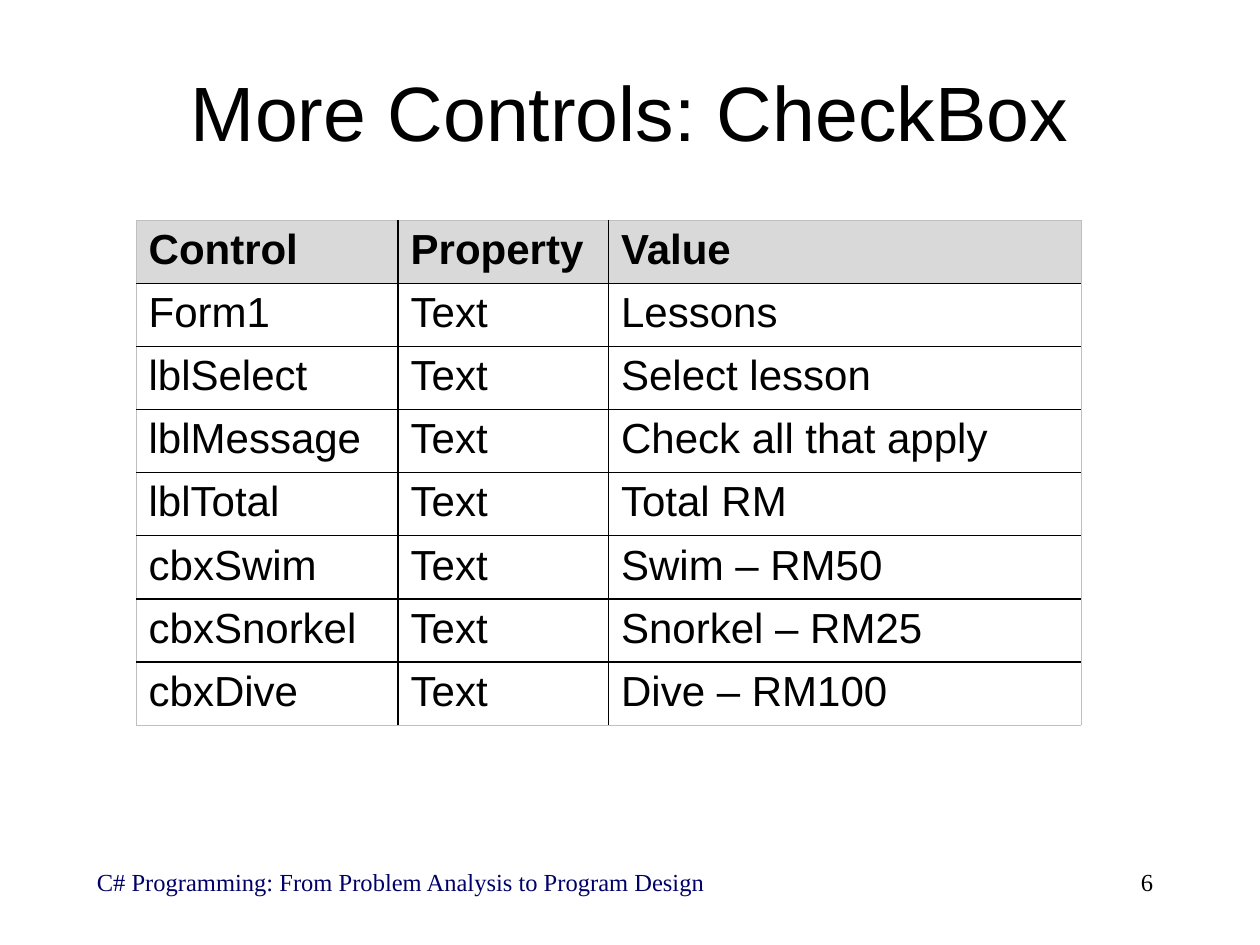
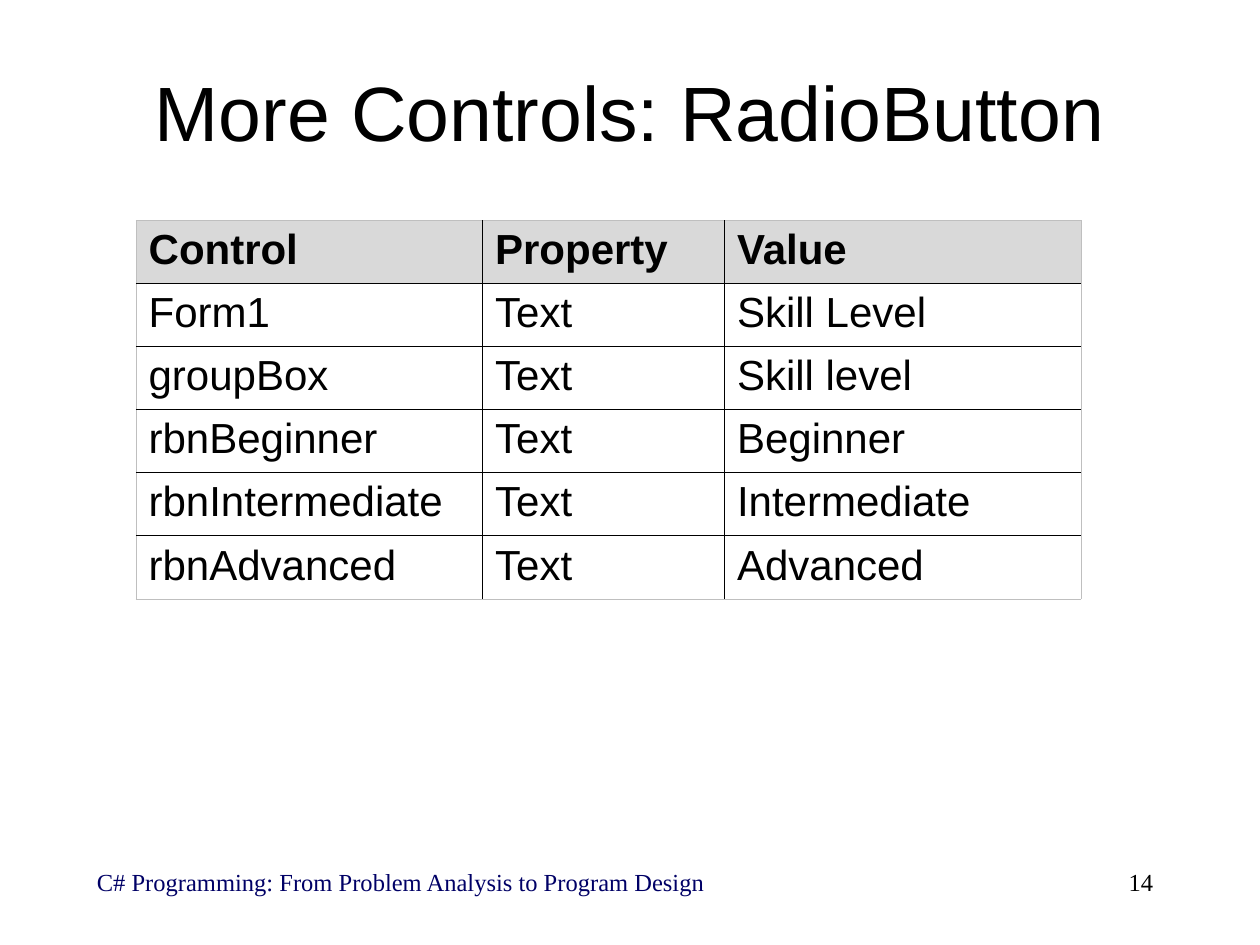
from dataclasses import dataclass

from lxml.etree import SubElement
from pptx import Presentation
from pptx.dml.color import RGBColor as Color
from pptx.enum.text import MSO_ANCHOR as Anchor, PP_ALIGN as Align
from pptx.oxml.ns import qn
from pptx.util import Inches, Pt


@dataclass(frozen=True)
class Theme:
    black: str = "000000"
    navy: str = "000066"
    header_fill: str = "D9D9D9"
    edge: str = "BFBFBF"
    sans: str = "Arial"
    serif: str = "Times New Roman"
    title_size: int = 44
    table_size: int = 24
    footer_size: int = 14
    grid_width: float = 1
    edge_width: float = 0.25


THEME = Theme()
FOOTER = "C# Programming: From Problem Analysis to Program Design"
HEADINGS = ("Control", "Property", "Value")
ROW_HEIGHT = 0.41

TITLE_BOX = (0.75, 0.25, 8.5, 1.25)
FOOTER_BOX = (0.67, 6.83, 8.58, 0.5)
TABLE_CORNER = (1.08, 1.75)

PAGES = (
    {
        "title": "More Controls: CheckBox",
        "number": 6,
        "widths": (2.08, 1.67, 3.75),
        "values": (
            ("Form1", "Lessons"),
            ("lblSelect", "Select lesson"),
            ("lblMessage", "Check all that apply"),
            ("lblTotal", "Total RM"),
            ("cbxSwim", "Swim – RM50"),
            ("cbxSnorkel", "Snorkel – RM25"),
            ("cbxDive", "Dive – RM100"),
        ),
    },
    {
        "title": "More Controls: RadioButton",
        "number": 14,
        "widths": (2.75, 1.92, 2.83),
        "values": (
            ("Form1", "Skill Level"),
            ("groupBox", "Skill level"),
            ("rbnBeginner", "Beginner"),
            ("rbnIntermediate", "Intermediate"),
            ("rbnAdvanced", "Advanced"),
        ),
    },
)


def write(frame, text, size, font, color, align=Align.LEFT, bold=False):
    para = frame.paragraphs[0]
    para.alignment = align
    span = para.add_run()
    span.text = text
    style = {"size": Pt(size), "name": font, "bold": bold}
    for name, value in style.items():
        setattr(span.font, name, value)
    span.font.color.rgb = Color.from_string(color)


def add_text(page, box, text, *style, anchor=Anchor.TOP, **extra):
    frame = page.shapes.add_textbox(*map(Inches, box)).text_frame
    frame.word_wrap = True
    frame.vertical_anchor = anchor
    write(frame, text, *style, **extra)


def add_title(page, box, text):
    add_text(page, box, text, THEME.title_size, THEME.sans, THEME.black,
             anchor=Anchor.MIDDLE, align=Align.CENTER)


def add_footer(page, box, number):
    left, top, width, height = box
    number_width = 2.08
    add_text(page, (left, top, 5.92, height), FOOTER,
             THEME.footer_size, THEME.serif, THEME.navy)
    add_text(page, (left + width - number_width, top, number_width, height),
             str(number), THEME.footer_size, THEME.serif, THEME.black,
             align=Align.RIGHT)


def set_borders(cell, outer_sides):
    properties = cell._tc.get_or_add_tcPr()
    for position, (side, outer) in enumerate(outer_sides.items()):
        width = THEME.edge_width if outer else THEME.grid_width
        line = SubElement(properties, qn(f"a:{side}"), w=str(Pt(width)))
        fill = SubElement(line, qn("a:solidFill"))
        SubElement(fill, qn("a:srgbClr"),
                   val=THEME.edge if outer else THEME.black)
        properties.remove(line)
        properties.insert(position, line)


def add_property_table(page, corner, widths, values):
    rows = [HEADINGS] + [(control, "Text", value) for control, value in values]
    box = (*corner, sum(widths), ROW_HEIGHT * len(rows))
    table = page.shapes.add_table(
        len(rows), len(widths), *map(Inches, box)).table
    for column, width in zip(table.columns, widths):
        column.width = Inches(width)
    for row_index, row in enumerate(rows):
        table.rows[row_index].height = Inches(ROW_HEIGHT)
        header = row_index == 0
        for column_index, text in enumerate(row):
            cell = table.cell(row_index, column_index)
            if header:
                cell.fill.solid()
                cell.fill.fore_color.rgb = Color.from_string(THEME.header_fill)
            else:
                cell.fill.background()
            set_borders(cell, {
                "lnL": column_index == 0,
                "lnR": column_index == len(widths) - 1,
                "lnT": header,
                "lnB": row_index == len(rows) - 1,
            })
            write(cell.text_frame, text, THEME.table_size, THEME.sans,
                  THEME.black, bold=header)


def add_control_page(deck, title, number, widths, values):
    page = deck.slides.add_slide(deck.slide_layouts[6])
    add_footer(page, FOOTER_BOX, number)
    add_title(page, TITLE_BOX, title)
    add_property_table(page, TABLE_CORNER, widths, values)


def main():
    deck = Presentation()
    deck.slide_width, deck.slide_height = Inches(10), Inches(7.5)
    for content in PAGES:
        add_control_page(deck, **content)
    deck.save("out.pptx")


if __name__ == "__main__":
    main()
